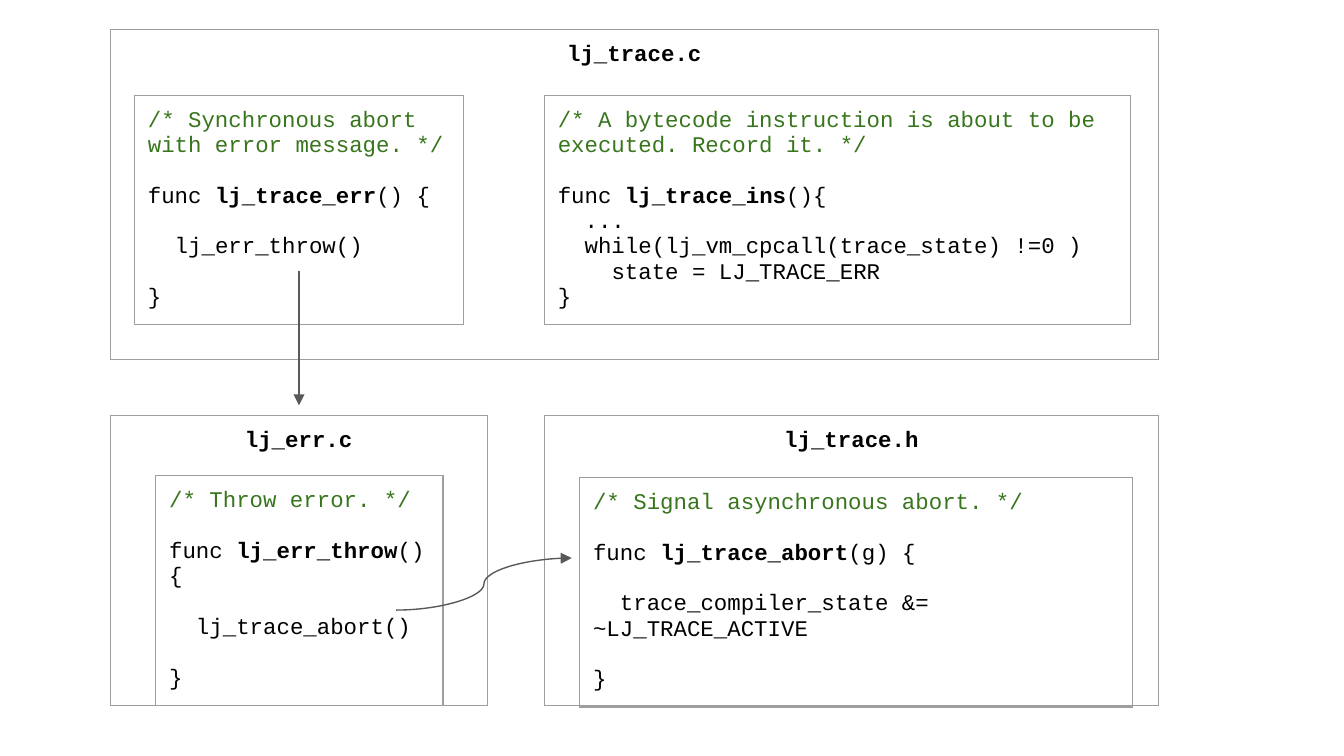
from dataclasses import dataclass

from lxml import etree
from pptx import Presentation
from pptx.dml.color import RGBColor
from pptx.enum.shapes import MSO_CONNECTOR
from pptx.enum.text import MSO_ANCHOR, PP_ALIGN
from pptx.oxml.ns import qn
from pptx.util import Pt

STRAIGHT, CURVE = MSO_CONNECTOR.STRAIGHT, MSO_CONNECTOR.CURVE
TOP, MIDDLE = MSO_ANCHOR.TOP, MSO_ANCHOR.MIDDLE
LEFT, CENTER = PP_ALIGN.LEFT, PP_ALIGN.CENTER

COLORS = {"border": "9E9E9E", "arrow": "595959", "code": "000000", "comment": "38761D"}
FONT = "Courier New"
TEXT_SIZE = 12
LINE_HEIGHT = 13.6
CHARACTER_WIDTH = 7.2
CELL_MARGIN = 7.2
LINE_WIDTH = 0.75
BLANK_LAYOUT = 6

FILE_TOP, FILE_BOTTOM = 16, 222.5
CODE_HEIGHT = 123
LEFT_EDGE, RIGHT_EDGE = 59, 291.6


@dataclass
class Span:
    text: str
    bold: bool = False
    color: str = "code"


@dataclass
class Line:
    spans: list[Span]
    gap: bool = False  # one empty line above
    indent: int = 0  # first-line indent in characters
    align: PP_ALIGN = LEFT


@dataclass
class Box:
    left: float
    top: float
    width: float
    height: float
    lines: list[Line]
    anchor: MSO_ANCHOR = MIDDLE


@dataclass
class Arrow:
    kind: MSO_CONNECTOR
    start: tuple[float, float]
    end: tuple[float, float]


def comment(text: str) -> Line:
    return Line([Span(text, color="comment")])


def code(text: str, indent: int = 0, gap: bool = False) -> Line:
    return Line([Span(text)], gap, indent)


def signature(name: str, ending: str) -> Line:
    return Line([Span("func "), Span(name, bold=True), Span(ending)], gap=True)


def file_box(name: str, left: float, top: float, width: float, height: float) -> Box:
    return Box(left, top, width, height, [Line([Span(name, bold=True)], align=CENTER)], TOP)


FILES = [
    file_box("lj_err.c", LEFT_EDGE, FILE_BOTTOM, 202, 155.5),
    file_box("lj_trace.c", LEFT_EDGE, FILE_TOP, 561.6, 176.4),
    file_box("lj_trace.h", RIGHT_EDGE, FILE_BOTTOM, 329, 155.5),
]

FUNCTIONS = [
    Box(72, 51, 176.4, CODE_HEIGHT, [
        comment("/* Synchronous abort"),
        comment("with error message. */"),
        signature("lj_trace_err", "() {"),
        code("lj_err_throw()", indent=2, gap=True),
        code("}", gap=True),
    ]),
    Box(310.5, 255.8, 296, CODE_HEIGHT, [
        comment("/* Signal asynchronous abort. */"),
        signature("lj_trace_abort", "(g) {"),
        code("trace_compiler_state &= ~LJ_TRACE_ACTIVE", indent=2, gap=True),
        code("}", gap=True),
    ]),
    Box(83.4, 254.8, 154, CODE_HEIGHT, [
        comment("/* Throw error. */"),
        signature("lj_err_throw", "(){"),
        code("lj_trace_abort()", indent=2, gap=True),
        code("}", gap=True),
    ]),
    Box(RIGHT_EDGE, 51, 314, CODE_HEIGHT, [
        comment("/* A bytecode instruction is about to be executed. Record it. */"),
        signature("lj_trace_ins", "(){"),
        code("...", indent=2),
        code("while(lj_vm_cpcall(trace_state) !=0 )", indent=2),
        code("state = LJ_TRACE_ERR", indent=4),
        code("}"),
    ]),
]

ARROWS = [
    Arrow(CURVE, (212.2, 326.9), (306.3, 299)),
    Arrow(STRAIGHT, (160.2, 145.2), (160.2, 217.2)),
]


def set_borders(cell) -> None:
    properties = cell._tc.get_or_add_tcPr()
    for side in ("a:lnL", "a:lnR", "a:lnT", "a:lnB"):
        border = etree.SubElement(properties, qn(side), w=str(Pt(LINE_WIDTH)))
        fill = etree.SubElement(border, qn("a:solidFill"))
        etree.SubElement(fill, qn("a:srgbClr"), val=COLORS["border"])


def write_line(para, line: Line) -> None:
    para.alignment = line.align
    para.space_before = Pt(LINE_HEIGHT if line.gap else 0)
    if line.indent:
        properties = para._p.get_or_add_pPr()
        properties.set("marL", "0")
        properties.set("indent", str(Pt(line.indent * CHARACTER_WIDTH)))
    for span in line.spans:
        run = para.add_run()
        run.text = span.text
        run.font.name = FONT
        run.font.size = Pt(TEXT_SIZE)
        run.font.bold = span.bold
        run.font.color.rgb = RGBColor.from_string(COLORS[span.color])


def draw_box(page, box: Box) -> None:
    """Draw a box as a table of one cell."""
    table = page.shapes.add_table(
        1, 1, Pt(box.left), Pt(box.top), Pt(box.width), Pt(box.height)
    ).table
    table.first_row = False
    table.horz_banding = False
    cell = table.cell(0, 0)
    set_borders(cell)
    cell.fill.background()
    cell.vertical_anchor = box.anchor
    cell.margin_left = cell.margin_right = Pt(CELL_MARGIN)
    cell.margin_top = cell.margin_bottom = Pt(CELL_MARGIN)
    frame = cell.text_frame
    for number, line in enumerate(box.lines):
        write_line(frame.add_paragraph() if number else frame.paragraphs[0], line)


def draw_arrow(page, arrow: Arrow) -> None:
    points = [Pt(value) for value in (*arrow.start, *arrow.end)]
    connector = page.shapes.add_connector(arrow.kind, *points)
    connector.line.width = Pt(LINE_WIDTH)
    connector.line.color.rgb = RGBColor.from_string(COLORS["arrow"])
    etree.SubElement(connector.line._get_or_add_ln(), qn("a:tailEnd"), type="triangle")
    etree.SubElement(connector._element.spPr, qn("a:effectLst"))


def main() -> None:
    deck = Presentation()
    deck.slide_width, deck.slide_height = Pt(720), Pt(405)
    page = deck.slides.add_slide(deck.slide_layouts[BLANK_LAYOUT])
    for box in FILES + FUNCTIONS:
        draw_box(page, box)
    for arrow in ARROWS:
        draw_arrow(page, arrow)
    deck.save("out.pptx")


if __name__ == "__main__":
    main()
